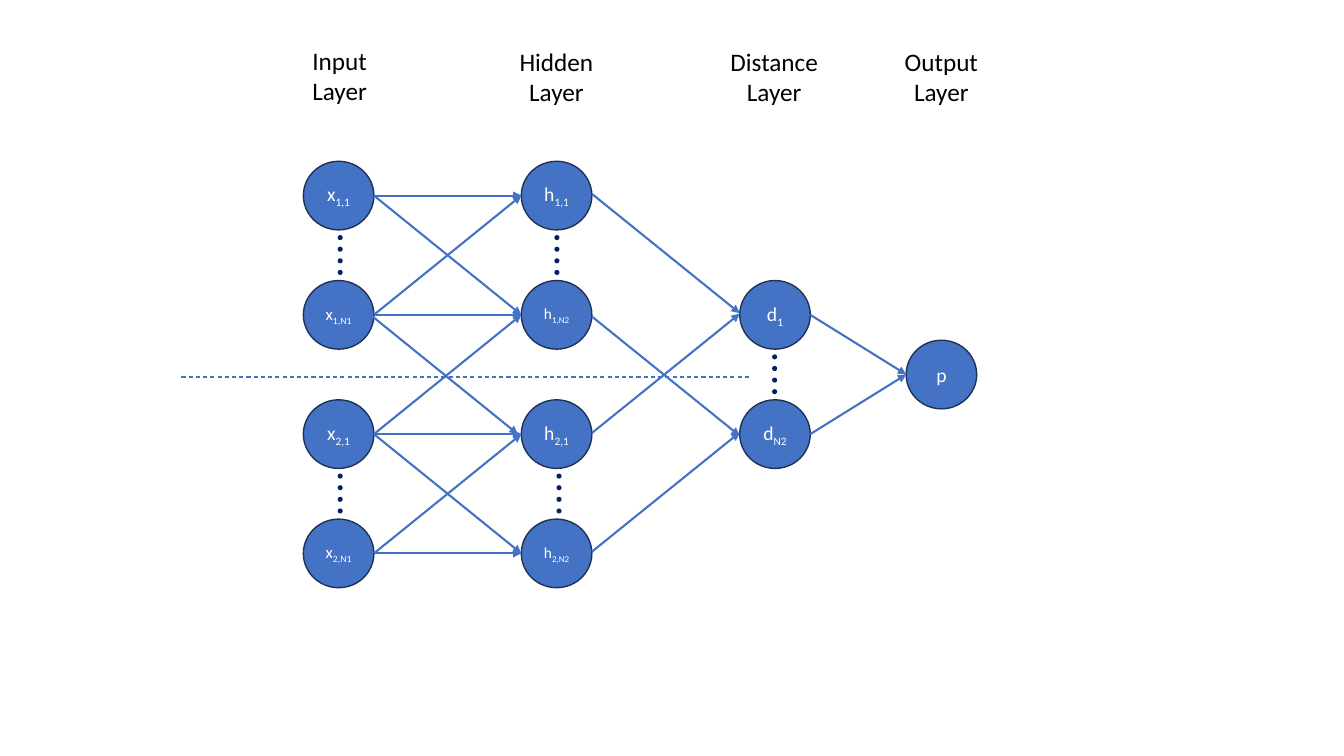
from itertools import product

from pptx import Presentation
from pptx.dml.color import RGBColor
from pptx.enum.dml import MSO_LINE
from pptx.enum.shapes import MSO_CONNECTOR, MSO_SHAPE
from pptx.enum.text import MSO_ANCHOR, MSO_AUTO_SIZE, PP_ALIGN
from pptx.oxml.ns import qn
from pptx.util import Pt
from lxml.etree import SubElement

NODE_W, NODE_H = 50.4, 49
ROW_TOP, ROW_PITCH = 115.2, 85.2
INPUT_X, HIDDEN_X, DISTANCE_X, OUTPUT_X = 216.7, 372.4, 528.4, 647.3


def color(hex_string):
    return RGBColor.from_string(hex_string)


def row_top(row):
    return ROW_TOP + row * ROW_PITCH


def write(frame, paragraphs, size, ink, font="Calibri", align=PP_ALIGN.CENTER):
    """Fill a text frame; each paragraph is a list of (text, is_subscript)."""
    for index, parts in enumerate(paragraphs):
        paragraph = frame.add_paragraph() if index else frame.paragraphs[0]
        paragraph.alignment = align
        for text, is_subscript in parts:
            run = paragraph.add_run()
            run.text = text
            run.font.name = font
            run.font.size = Pt(size)
            run.font.color.rgb = color(ink)
            if is_subscript:
                run._r.get_or_add_rPr().set("baseline", "-25000")


class NetworkDiagram:
    BLUE, OUTLINE, NAVY = "4472C4", "1E3256", "002060"
    WHITE, BLACK = "FFFFFF", "000000"

    def __init__(self, slide):
        self.shapes = slide.shapes

    def ellipse(self, left, top, width, height, fill):
        oval = self.shapes.add_shape(
            MSO_SHAPE.OVAL, Pt(left), Pt(top), Pt(width), Pt(height))
        oval.shadow.inherit = False
        oval.fill.solid()
        oval.fill.fore_color.rgb = color(fill)
        oval.line.fill.background()
        return oval

    def node(self, left, row, letter, subscript="", size=14):
        neuron = self.ellipse(left, row_top(row), NODE_W, NODE_H, self.BLUE)
        neuron.line.color.rgb = color(self.OUTLINE)
        neuron.line.width = Pt(1)
        neuron.text_frame.vertical_anchor = MSO_ANCHOR.MIDDLE
        parts = [(letter, False)]
        if subscript:
            parts.append((subscript, True))
        write(neuron.text_frame, [parts], size=size, ink=self.WHITE)

    def dots(self, left, row):
        """Draw the four dots below the node in the given row."""
        for step in range(4):
            self.ellipse(left, row_top(row) + 52.7 + 8.3 * step, 3.6, 3.6, self.NAVY)

    def line(self, x1, y1, x2, y2, width):
        link = self.shapes.add_connector(
            MSO_CONNECTOR.STRAIGHT, Pt(x1), Pt(y1), Pt(x2), Pt(y2))
        link.line.color.rgb = color(self.BLUE)
        link.line.width = Pt(width)
        SubElement(link._element.spPr, qn("a:effectLst"))
        return link

    def arrow(self, from_x, from_row, to_x, to_row, dx=0, dy=0):
        """Join the right edge of one node to the left edge of another."""
        middle = NODE_H / 2
        link = self.line(from_x + NODE_W + dx, row_top(from_row) + middle + dy,
                         to_x + dx, row_top(to_row) + middle + dy, 1.5)
        SubElement(link.line._get_or_add_ln(), qn("a:tailEnd"), type="triangle")

    def divider(self, left, right, y):
        self.line(left, y, right, y, 0.75).line.dash_style = MSO_LINE.DASH

    def heading(self, left, top, width, name, align=PP_ALIGN.CENTER):
        box = self.shapes.add_textbox(Pt(left), Pt(top), Pt(width), Pt(51))
        box.text_frame.word_wrap = False
        box.text_frame.auto_size = MSO_AUTO_SIZE.SHAPE_TO_FIT_TEXT
        write(box.text_frame, [[(name, False)], [("Layer", False)]],
              size=18, ink=self.BLACK, align=align)


def main():
    deck = Presentation()
    deck.slide_width, deck.slide_height = Pt(960), Pt(540)
    diagram = NetworkDiagram(deck.slides.add_slide(deck.slide_layouts[6]))

    for left, letter, last, last_size in ((INPUT_X, "x", "N1", 12),
                                          (HIDDEN_X, "h", "N2", 11)):
        for branch in (1, 2):
            first_row = 2 * branch - 2
            diagram.node(left, first_row, letter, f"{branch},1")
            diagram.node(left, first_row + 1, letter, f"{branch},{last}", last_size)
    diagram.node(DISTANCE_X, 1, "d", "1")
    diagram.node(DISTANCE_X, 2, "d", "N2")
    diagram.node(OUTPUT_X, 1.5, "p")

    for from_row, to_row in product(range(4), repeat=2):
        if abs(from_row - to_row) <= 1:
            shift = -2.5 if (from_row, to_row) == (1, 2) else 0
            diagram.arrow(INPUT_X, from_row, HIDDEN_X, to_row, dx=shift)

    for left, row in ((241.2, 0), (396, 0), (241.2, 2), (397.5, 2), (551.5, 1)):
        diagram.dots(left, row)

    for from_row, to_row, shift in ((0, 1, -1.2), (3, 2, -1.2),
                                    (1, 2, 1.2), (2, 1, -0.8)):
        diagram.arrow(HIDDEN_X, from_row, DISTANCE_X, to_row, dy=shift)
    for from_row in (1, 2):
        diagram.arrow(DISTANCE_X, from_row, OUTPUT_X, 1.5)
    diagram.divider(129.6, 535, 269.3)

    diagram.heading(216, 28.8, 54, "Input", align=PP_ALIGN.LEFT)
    for left, width, name in ((363.6, 67.7, "Hidden"), (514.1, 77.8, "Distance"),
                              (638.6, 67.7, "Output")):
        diagram.heading(left, 29.5, width, name)

    deck.save("out.pptx")


if __name__ == "__main__":
    main()
